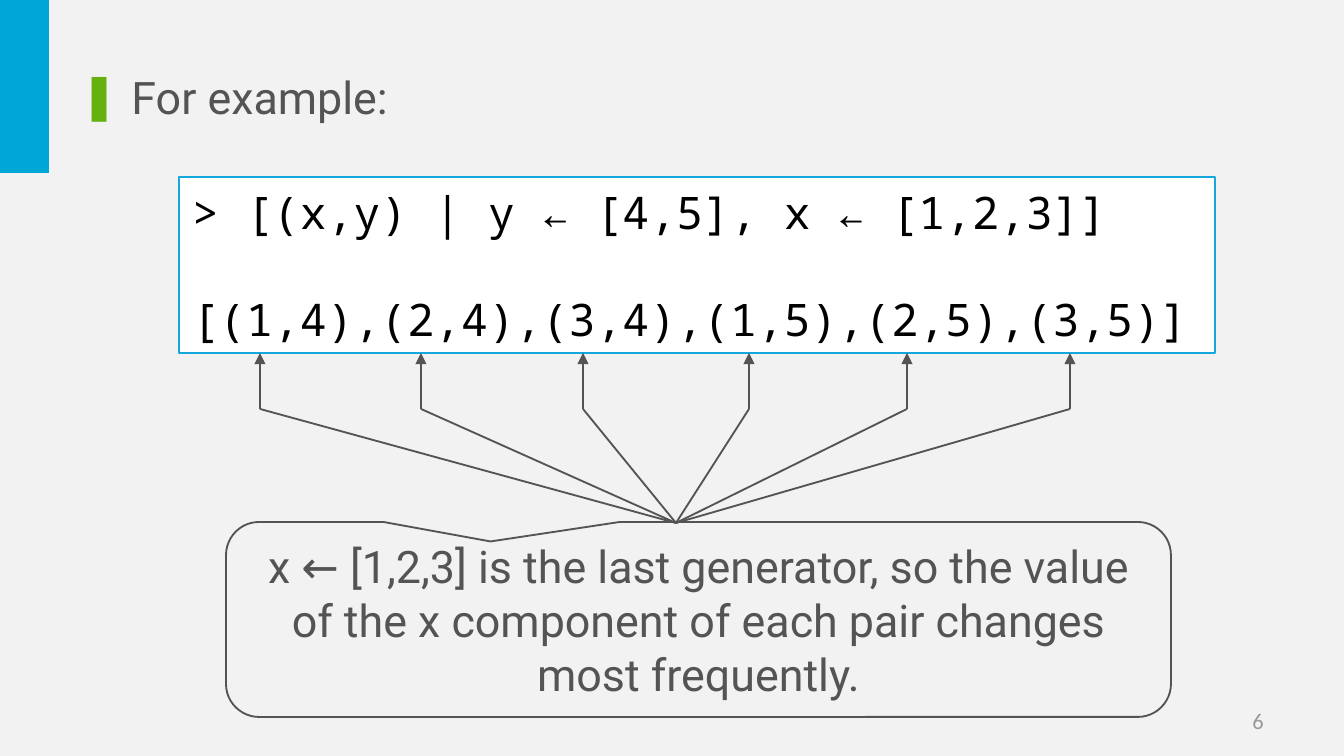
from dataclasses import dataclass

from lxml import etree
from pptx import Presentation
from pptx.dml.color import RGBColor
from pptx.enum.shapes import MSO_CONNECTOR, MSO_SHAPE
from pptx.enum.text import MSO_ANCHOR, MSO_AUTO_SIZE, PP_ALIGN
from pptx.oxml.ns import qn
from pptx.util import Pt

LINE = MSO_CONNECTOR.STRAIGHT
RECT, CALLOUT = MSO_SHAPE.RECTANGLE, MSO_SHAPE.ROUNDED_RECTANGULAR_CALLOUT
TOP, MIDDLE = MSO_ANCHOR.TOP, MSO_ANCHOR.MIDDLE
LEFT, CENTER, RIGHT = PP_ALIGN.LEFT, PP_ALIGN.CENTER, PP_ALIGN.RIGHT
FIXED = MSO_AUTO_SIZE.NONE
WIDE, HIGH = 1344, 756
SCALE = 9144000 / WIDE


@dataclass(frozen=True)
class Theme:
    back: str = "F2F2F2"
    band: str = "00A6D6"
    edge: str = "15A8DB"
    paper: str = "FFFFFF"
    code: str = "000000"
    text: str = "545454"
    mark: str = "66B010"
    faint: str = "999999"
    sans: str = "Roboto"
    mono: str = "Noto Sans Mono"
    foot: str = "Calibri"
    large: int = 24
    small: int = 12


THEME = Theme()


def px(count):
    return round(count * SCALE)


def color(code):
    return RGBColor.from_string(code)


def apply(target, values):
    for name, value in values.items():
        setattr(target, name, value)


def write(shape, lines, font, size, ink, anchor=MIDDLE, **form):
    """Fill a shape with one paragraph per line; form holds paragraph values."""
    frame = shape.text_frame
    frame.text = "\n".join(lines)
    apply(frame, {"word_wrap": True, "auto_size": FIXED,
                  "vertical_anchor": anchor})
    for para in frame.paragraphs:
        apply(para, form)
        for run in para.runs:
            apply(run.font, {"name": font, "size": Pt(size)})
            run.font.color.rgb = color(ink)
    return frame.paragraphs


def add_box(slide, kind, area, fill=None, edge=None, width=1):
    shape = slide.shapes.add_shape(kind, *map(px, area))
    shape.shadow.inherit = False
    if fill:
        shape.fill.solid()
        shape.fill.fore_color.rgb = color(fill)
    else:
        shape.fill.background()
    if edge:
        shape.line.color.rgb = color(edge)
        shape.line.width = Pt(width)
    else:
        shape.line.fill.background()
    return shape


def add_line(slide, start, end, arrow=False):
    line = slide.shapes.add_connector(LINE, *map(px, (*start, *end)))
    line.line.color.rgb = color(THEME.text)
    line.line.width = Pt(1)
    if arrow:
        stroke = line.line._get_or_add_ln()
        etree.SubElement(stroke, qn("a:tailEnd"), type="triangle")
    etree.SubElement(line._element.spPr, qn("a:effectLst"))


def add_list(slide, area, lines):
    """Use the body placeholder for a list with coloured bar bullets."""
    body = slide.placeholders[1]
    apply(body, dict(zip(("left", "top", "width", "height"), map(px, area))))
    paras = write(body, lines, THEME.sans, THEME.large, THEME.text, TOP,
                  alignment=LEFT, space_before=Pt(0))
    for para in paras:
        props = para._p.get_or_add_pPr()
        props.set("marL", str(px(51)))
        props.set("indent", str(px(-51)))
        tint = etree.SubElement(props, qn("a:buClr"))
        etree.SubElement(tint, qn("a:srgbClr"), val=THEME.mark)
        etree.SubElement(props, qn("a:buFont"), typeface=THEME.sans)
        etree.SubElement(props, qn("a:buChar"), char="❚")


def add_code(slide, area, lines):
    box = add_box(slide, RECT, area, THEME.paper, THEME.edge, 0.75)
    paras = write(box, lines, THEME.mono, THEME.large, THEME.code,
                  alignment=LEFT, line_spacing=Pt(29))
    for para in paras[1:]:
        para.space_before = Pt(28)


def add_note(slide, area, text):
    note = add_box(slide, CALLOUT, area, edge=THEME.text)
    for index, value in enumerate((-0.22, -0.4, 0.17)):
        note.adjustments[index] = value
    write(note, [text], THEME.sans, THEME.large, THEME.text,
          alignment=CENTER)


def add_fan(slide, hub, stems, bend, top):
    """Link the hub to each stem, which ends in an arrow at the top."""
    for stem in stems:
        add_line(slide, (stem, bend), (stem, top), arrow=True)
        add_line(slide, hub, (stem, bend))


def add_number(slide, area, text):
    box = slide.shapes.add_textbox(*map(px, area))
    write(box, [text], THEME.foot, THEME.small, THEME.faint,
          alignment=RIGHT)


def main():
    deck = Presentation()
    apply(deck, {"slide_width": px(WIDE), "slide_height": px(HIGH)})
    slide = deck.slides.add_slide(deck.slide_layouts[1])
    title = slide.shapes.title._element
    title.getparent().remove(title)
    back = slide.background.fill
    back.solid()
    back.fore_color.rgb = color(THEME.back)

    add_box(slide, RECT, (0, 0, 49, 173), THEME.band)
    add_number(slide, (964, 701, 313, 40), "6")
    add_code(slide, (179, 177, 1036, 176), [
        "> [(x,y) | y ← [4,5], x ← [1,2,3]]",
        "[(1,4),(2,4),(3,4),(1,5),(2,5),(3,5)]",
    ])
    add_list(slide, (67, 63, 418, 66), ["For example:"])
    add_note(slide, (226, 522, 945, 195),
             "x ← [1,2,3] is the last generator, so the value of the x "
             "component of each pair changes most frequently.")
    add_fan(slide, (676, 523), (260, 421, 583, 749, 907, 1070), 409, 353)
    deck.save("out.pptx")


if __name__ == "__main__":
    main()
